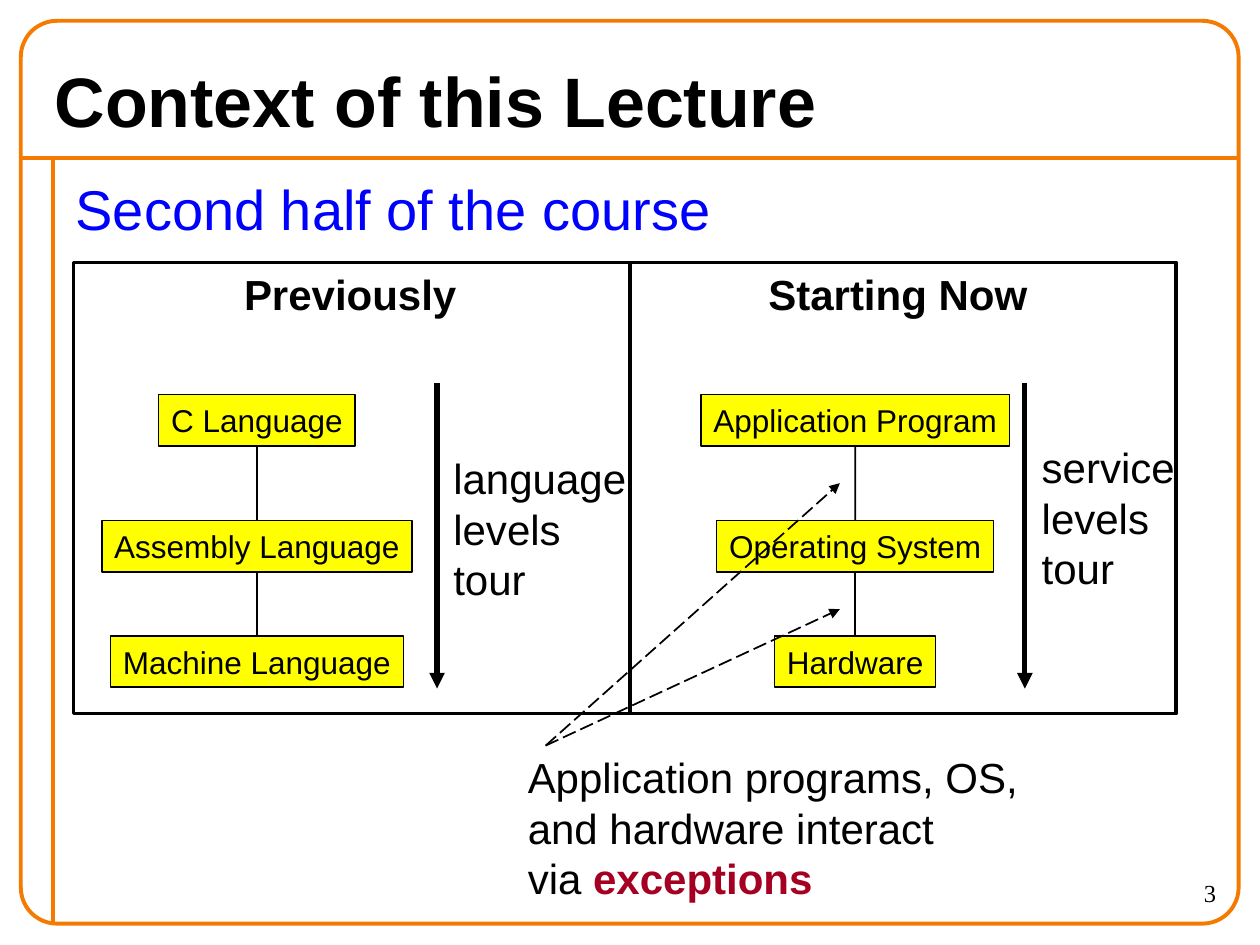
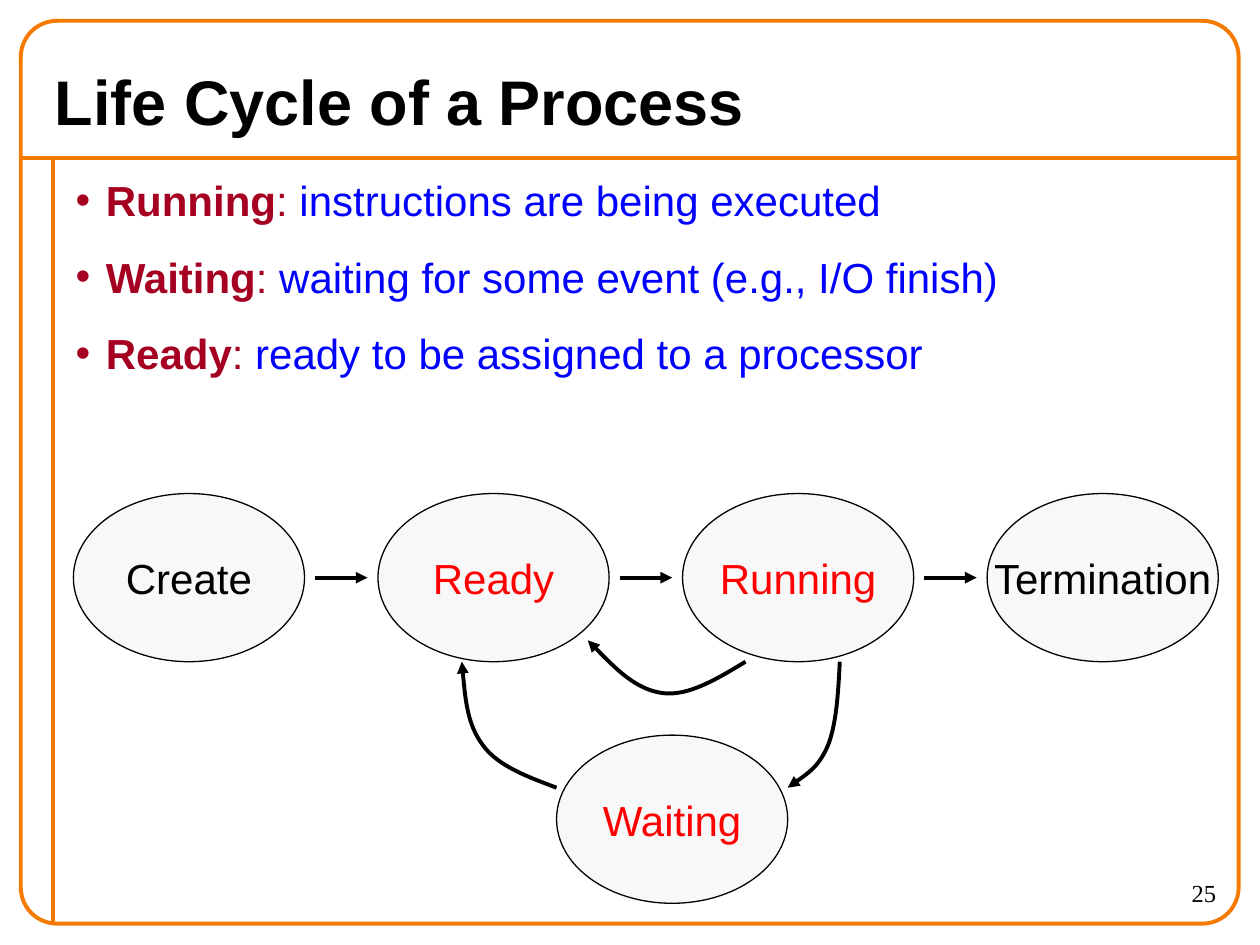
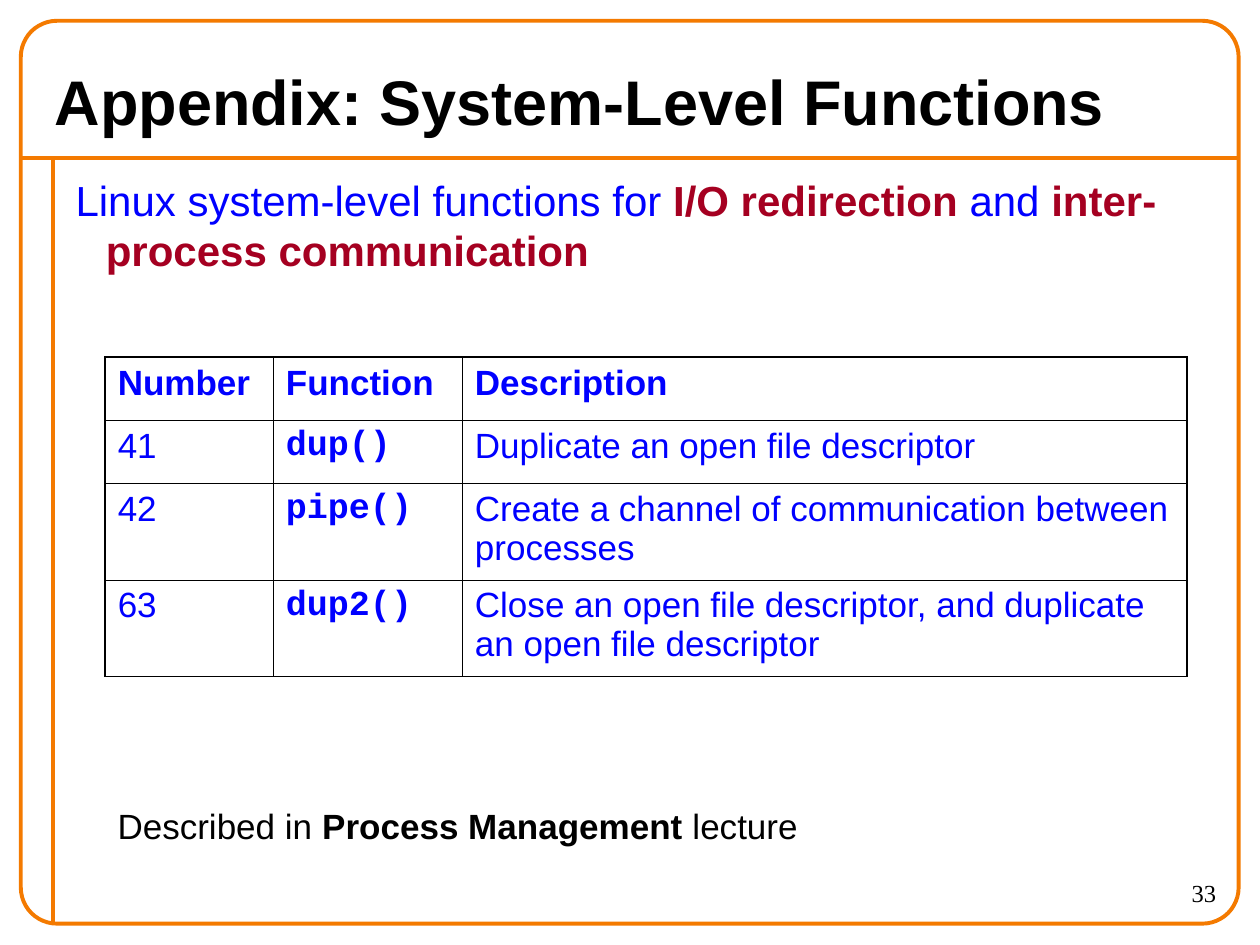
from dataclasses import dataclass
from itertools import pairwise
from typing import NamedTuple

from pptx import Presentation
from pptx.dml.color import RGBColor
from pptx.enum.dml import MSO_LINE
from pptx.enum.shapes import MSO_CONNECTOR, MSO_SHAPE
from pptx.enum.text import MSO_ANCHOR, MSO_AUTO_SIZE, PP_ALIGN
from pptx.oxml.ns import qn
from pptx.oxml.xmlchemy import OxmlElement
from pptx.shapes.autoshape import Shape
from pptx.shapes.connector import Connector
from pptx.slide import Slide, SlideLayout
from pptx.table import _Cell as Cell
from pptx.text.text import TextFrame, _Paragraph as Para
from pptx.util import Cm, Pt


@dataclass(frozen=True)
class Theme:
    black: RGBColor = RGBColor(0, 0, 0)
    orange: RGBColor = RGBColor(0xF4, 0x7A, 0x00)
    blue: RGBColor = RGBColor(0, 0, 0xFF)
    maroon: RGBColor = RGBColor(0xA5, 0x00, 0x21)
    red: RGBColor = RGBColor(0xFF, 0, 0)
    yellow: RGBColor = RGBColor(0xFF, 0xFF, 0)
    pale: RGBColor = RGBColor(0xF8, 0xF8, 0xF8)
    sans: str = "Arial"
    mono: str = "Courier New"
    serif: str = "Times New Roman"
    title: int = 36
    large: int = 40
    lead: int = 32
    text: int = 24
    table: int = 20
    label: int = 18
    number: int = 14


THEME = Theme()


class Run(NamedTuple):
    text: str
    color: RGBColor | None = None
    bold: bool | None = None


class Area(NamedTuple):
    """Left, top, width and height in centimetres."""
    left: float
    top: float
    width: float
    height: float


class Point(NamedTuple):
    x: float
    y: float


class Level(NamedTuple):
    name: str
    width: float


class Tour(NamedTuple):
    """One half of the course: its heading, stack of levels and side arrow."""
    head: str
    place: Area
    center: float
    levels: tuple[Level, ...]
    arrow: float
    note: str
    side: Area


class State(NamedTuple):
    name: str
    left: float
    top: float
    color: RGBColor


Line = str | list[Run]

TITLE = Area(0.85, 1.06, 23.71, 1.91)
BODY = Area(1.27, 3.39, 23.5, 15.24)
PANEL = Area(1.48, 5.29, 22.23, 9.1)
OVAL = Point(4.66, 3.39)
STEP = 6.14
ROW = 9.95

TOURS = (
    Tour("Previously", Area(4.67, 5.29, 5, 1.27), 5.18,
         (Level("C Language", 3.96), Level("Assembly Language", 6.25),
          Level("Machine Language", 5.9)),
         8.81, "language", Area(8.89, 9, 4.2, 3.3)),
    Tour("Starting Now", Area(15.24, 5.29, 6, 1.27), 17.24,
         (Level("Application Program", 6.22), Level("Operating System", 5.59),
          Level("Hardware", 3.25)),
         20.66, "service", Area(20.75, 8.78, 3.5, 3.3)),
)
TOPS = (7.96, 10.5, 12.82)

CHAIN = (("Create", THEME.black), ("Ready", THEME.red),
         ("Running", THEME.red), ("Termination", THEME.black))
STATES = [State(name, PANEL.left + i * STEP, ROW, color)
          for i, (name, color) in enumerate(CHAIN)]
STATES.append(State("Waiting", 11.22, 14.82, THEME.red))

CURVES = (
    (Point(11.22, 15.88), Point(10.64, 15.66), Point(10.05, 15.45), Point(9.74, 15.03),
     Point(9.42, 14.61), Point(9.37, 13.97), Point(9.31, 13.34)),
    (Point(15.03, 13.34), Point(14.45, 13.69), Point(13.86, 14.05), Point(13.34, 13.97),
     Point(12.81, 13.89), Point(12.33, 13.4), Point(11.85, 12.91)),
    (Point(16.93, 13.34), Point(16.9, 13.97), Point(16.86, 14.61), Point(16.69, 15.03),
     Point(16.51, 15.45), Point(16.19, 15.66), Point(15.88, 15.88)),
)

WIDTHS = (3.39, 3.81, 14.61)
HEIGHTS = (1.27, 1.27, 1.95, 1.95)
CALLS = (
    ("Number", "Function", "Description"),
    ("41", "dup()", "Duplicate an open file descriptor"),
    ("42", "pipe()", "Create a channel of communication between processes"),
    ("63", "dup2()", "Close an open file descriptor, and duplicate an open file descriptor"),
)


def node(parent, tag: str, **attrs: str):
    child = OxmlElement(tag)
    for key, value in attrs.items():
        child.set(key, value)
    parent.append(child)
    return child


def hang(para: Para, bullet: bool) -> None:
    """Give the paragraph a hanging indent, with or without a bullet."""
    props = para._p.get_or_add_pPr()
    props.set("marL", str(Cm(0.61)))
    props.set("indent", str(-Cm(0.61)))
    if bullet:
        node(node(props, "a:buClr"), "a:srgbClr", val=str(THEME.maroon))
        node(props, "a:buChar", char="•")
    else:
        node(props, "a:buNone")


def write(frame: TextFrame, *lines: Line, size: int = THEME.text,
          color: RGBColor = THEME.black, bold: bool = False, font: str = THEME.sans,
          align: PP_ALIGN = PP_ALIGN.LEFT, anchor: MSO_ANCHOR = MSO_ANCHOR.TOP,
          wrap: bool = True, gap: float = 0, listed: bool = False,
          bullet: bool = False) -> None:
    frame.word_wrap = wrap
    frame.auto_size = MSO_AUTO_SIZE.NONE
    frame.vertical_anchor = anchor
    for i, line in enumerate(lines):
        para = frame.add_paragraph() if i else frame.paragraphs[0]
        if listed:
            hang(para, bullet)
        para.alignment = align
        para.space_before = Pt(gap if i else 0)
        for part in [Run(line)] if isinstance(line, str) else line:
            run = para.add_run()
            run.text = part.text
            run.font.name = font
            run.font.size = Pt(size)
            run.font.bold = bold if part.bold is None else part.bold
            run.font.color.rgb = part.color or color


def place(shape, area: Area) -> None:
    shape.left, shape.top, shape.width, shape.height = map(Cm, area)


def label(slide: Slide, area: Area, *lines: Line, **style) -> None:
    box = slide.shapes.add_textbox(*map(Cm, area))
    write(box.text_frame, *lines, **style)


def block(slide: Slide, kind: MSO_SHAPE, area: Area, fill: RGBColor | None = None,
          color: RGBColor = THEME.black, width: float = 0.75) -> Shape:
    shape = slide.shapes.add_shape(kind, *map(Cm, area))
    shape.shadow.inherit = False
    if fill is None:
        shape.fill.background()
    else:
        shape.fill.solid()
        shape.fill.fore_color.rgb = fill
    shape.line.color.rgb = color
    shape.line.width = Pt(width)
    return shape


def tip(shape: Shape | Connector) -> None:
    """Put an arrowhead where the line ends."""
    node(shape.element.find(".//" + qn("a:ln")), "a:tailEnd", type="triangle")


def link(slide: Slide, start: Point, end: Point, color: RGBColor = THEME.black,
         width: float = 1, arrow: bool = False, dash: bool = False) -> Connector:
    line = slide.shapes.add_connector(MSO_CONNECTOR.STRAIGHT, *map(Cm, (*start, *end)))
    line.line.color.rgb = color
    line.line.width = Pt(width)
    if dash:
        line.line.dash_style = MSO_LINE.LONG_DASH
    if arrow:
        tip(line)
    node(line.element.find(qn("p:spPr")), "a:effectLst")
    return line


def curve(slide: Slide, points: tuple[Point, ...]) -> None:
    """Draw an arrow of cubic curves, three points to a curve after the first."""
    start, *rest = [(Cm(p.x), Cm(p.y)) for p in points]
    draft = slide.shapes.build_freeform(*start)
    draft.add_line_segments(rest, close=False)
    shape = draft.convert_to_shape()
    steps = shape.element.findall(".//" + qn("a:lnTo"))
    for i in range(0, len(steps), 3):
        bend = OxmlElement("a:cubicBezTo")
        steps[i].addprevious(bend)
        for step in steps[i:i + 3]:
            bend.append(step[0])
            step.getparent().remove(step)
    shape.shadow.inherit = False
    shape.fill.background()
    shape.line.color.rgb = THEME.black
    shape.line.width = Pt(2.25)
    tip(shape)


def begin(deck, layout: SlideLayout, title: str, number: int,
          size: int = THEME.title) -> Slide:
    slide = deck.slides.add_slide(layout)
    write(slide.shapes.title.text_frame, title, size=size, bold=True,
          anchor=MSO_ANCHOR.MIDDLE)
    label(slide, Area(22.23, 17.57, 2.54, 1.06), str(number), size=THEME.number,
          font=THEME.serif, align=PP_ALIGN.RIGHT)
    return slide


def fit(layout: SlideLayout) -> None:
    """Keep only the title and body of the layout, and move them."""
    for holder in list(layout.placeholders):
        if holder.placeholder_format.idx > 1:
            holder.element.getparent().remove(holder.element)
    for holder, area in zip(layout.placeholders, (TITLE, BODY)):
        place(holder, area)


def frame(slide: Slide, layout: SlideLayout) -> None:
    """Draw the orange frame and hand it over to the layout."""
    style = {"color": THEME.orange, "width": 2.25}
    rule = link(slide, Point(0.42, 3.18), Point(24.98, 3.18), **style)
    edge = link(slide, Point(1.06, 3.18), Point(1.06, 18.63), **style)
    rim = block(slide, MSO_SHAPE.ROUNDED_RECTANGLE, Area(0.42, 0.42, 24.55, 18.2), **style)
    rim.adjustments[0] = 0.04
    for part in (rule, edge, rim):
        layout.shapes.element.append(part.element)


def stack(slide: Slide, tour: Tour) -> None:
    label(slide, tour.place, tour.head, bold=True)
    boxes = []
    for level, top in zip(tour.levels, TOPS):
        area = Area(tour.center - level.width / 2, top, level.width, 1.03)
        box = block(slide, MSO_SHAPE.RECTANGLE, area, THEME.yellow)
        write(box.text_frame, level.name, size=THEME.label, align=PP_ALIGN.CENTER,
              anchor=MSO_ANCHOR.MIDDLE, wrap=False)
        boxes.append(box)
    for upper, lower in pairwise(boxes):
        line = link(slide, Point(0, 0), Point(0, 0))
        line.begin_connect(upper, 2)
        line.end_connect(lower, 0)
    link(slide, Point(tour.arrow, 7.73), Point(tour.arrow, 13.88), width=3, arrow=True)
    label(slide, tour.side, tour.note, "levels", "tour")


def context(slide: Slide) -> None:
    write(slide.placeholders[1].text_frame, "Second half of the course",
          size=THEME.lead, color=THEME.blue, listed=True)
    for tour in TOURS:
        stack(slide, tour)
    label(slide, Area(10.39, 15.03, 10.7, 3.3), "Application programs, OS,",
          "and hardware interact", [Run("via "), Run("exceptions", THEME.maroon, True)])
    for y in (9.74, 12.28):
        link(slide, Point(11, 15.03), Point(16.93, y), arrow=True, dash=True)
    block(slide, MSO_SHAPE.RECTANGLE, PANEL, width=2)
    link(slide, Point(12.7, PANEL.top), Point(12.7, PANEL.top + PANEL.height), width=2)


def cycle(slide: Slide) -> None:
    terms = (("Running", "instructions are being executed"),
             ("Waiting", "waiting for some event (e.g., I/O finish)"),
             ("Ready", "ready to be assigned to a processor"))
    lines = [[Run(term, bold=True), Run(":"), Run(f" {sense}", THEME.blue)]
             for term, sense in terms]
    write(slide.placeholders[1].text_frame, *lines, color=THEME.maroon, gap=15,
          listed=True, bullet=True)
    for state in STATES:
        oval = block(slide, MSO_SHAPE.OVAL, Area(state.left, state.top, *OVAL), THEME.pale)
        write(oval.text_frame, state.name, color=state.color, align=PP_ALIGN.CENTER,
              anchor=MSO_ANCHOR.MIDDLE, wrap=False)
    mid = ROW + OVAL.y / 2
    for i in range(len(CHAIN) - 1):
        x = 6.35 + i * STEP
        link(slide, Point(x, mid), Point(x + 1.06, mid), width=2.25, arrow=True)
    for points in CURVES:
        curve(slide, points)


def border(cell: Cell, outer: dict[str, bool]) -> None:
    """Draw the four sides of a cell, the outer ones thicker."""
    props = cell._tc.get_or_add_tcPr()
    for side, thick in outer.items():
        line = node(props, f"a:ln{side}", w=str(Pt(1.08 if thick else 0.45)))
        node(node(line, "a:solidFill"), "a:srgbClr", val=str(THEME.black))
    cell.fill.background()


def grid(slide: Slide) -> None:
    rows, cols = len(CALLS), len(WIDTHS)
    area = Area(2.12, 7.2, sum(WIDTHS), sum(HEIGHTS))
    table = slide.shapes.add_table(rows, cols, *map(Cm, area)).table
    table.first_row = table.horz_banding = False
    for col, width in zip(table.columns, WIDTHS):
        col.width = Cm(width)
    for r, (row, height) in enumerate(zip(CALLS, HEIGHTS)):
        table.rows[r].height = Cm(height)
        for c, text in enumerate(row):
            cell = table.cell(r, c)
            code = r > 0 and c == 1
            write(cell.text_frame, text, size=THEME.table, color=THEME.blue,
                  bold=r == 0 or code, font=THEME.mono if code else THEME.sans)
            border(cell, {"L": c == 0, "R": c == cols - 1, "T": r == 0, "B": r == rows - 1})


def appendix(slide: Slide) -> None:
    body = slide.placeholders[1]
    place(body, Area(1.27, 3.39, 23.07, 2.54))
    write(body.text_frame,
          [Run("Linux system-level functions for "),
           Run("I/O redirection", THEME.maroon, True), Run(" and "),
           Run("inter-process communication", THEME.maroon, True)],
          color=THEME.blue, listed=True)
    grid(slide)
    label(slide, Area(2.12, 16.09, 14.5, 1.11),
          [Run("Described in "), Run("Process Management", bold=True), Run(" lecture")],
          size=THEME.table)


def main() -> None:
    deck = Presentation()
    deck.slide_width, deck.slide_height = Cm(25.4), Cm(19.05)
    layout = deck.slide_layouts[1]
    fit(layout)
    first = begin(deck, layout, "Context of this Lecture", 3, THEME.large)
    frame(first, layout)
    context(first)
    cycle(begin(deck, layout, "Life Cycle of a Process", 25))
    appendix(begin(deck, layout, "Appendix: System-Level Functions", 33))
    deck.save("out.pptx")


if __name__ == "__main__":
    main()
